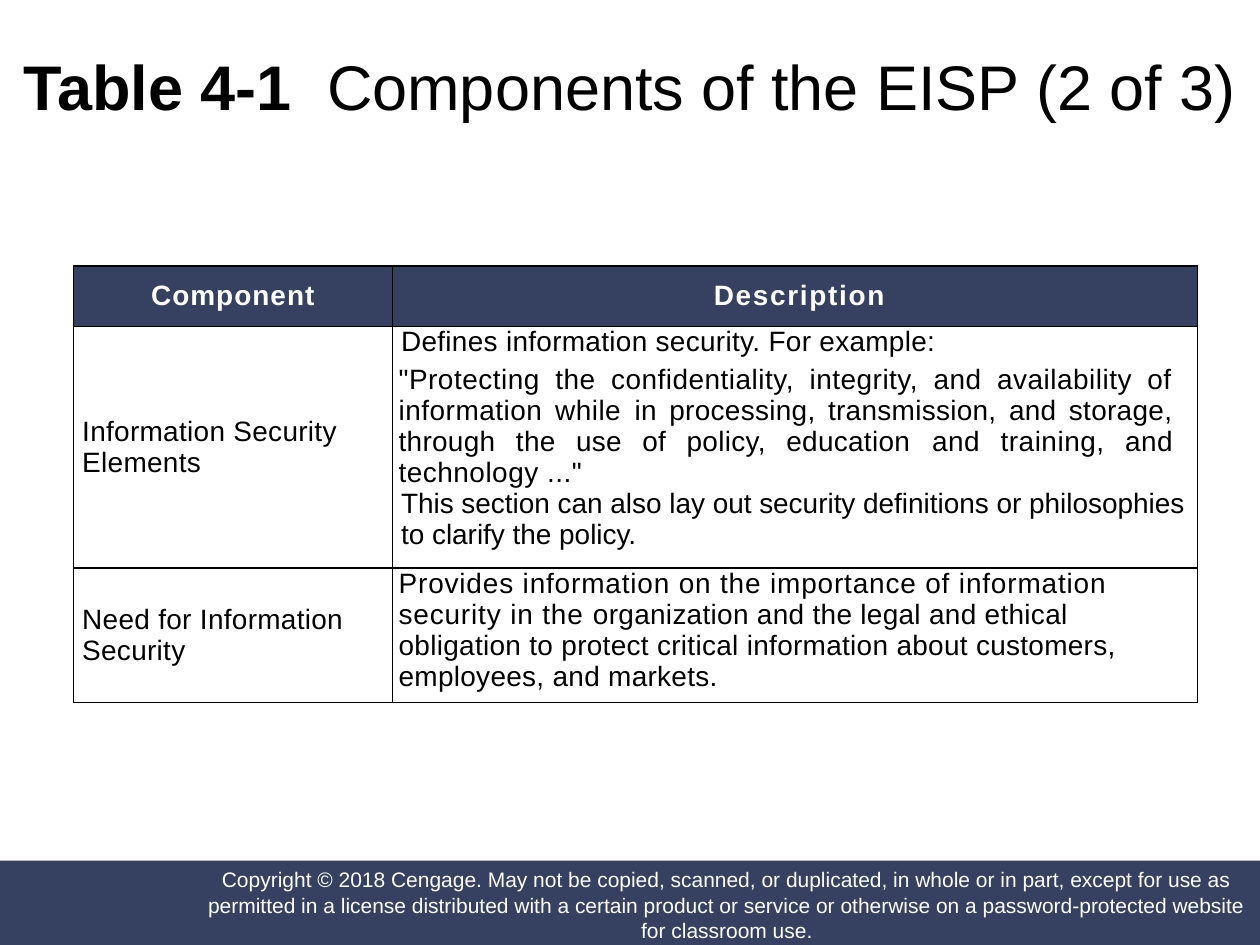
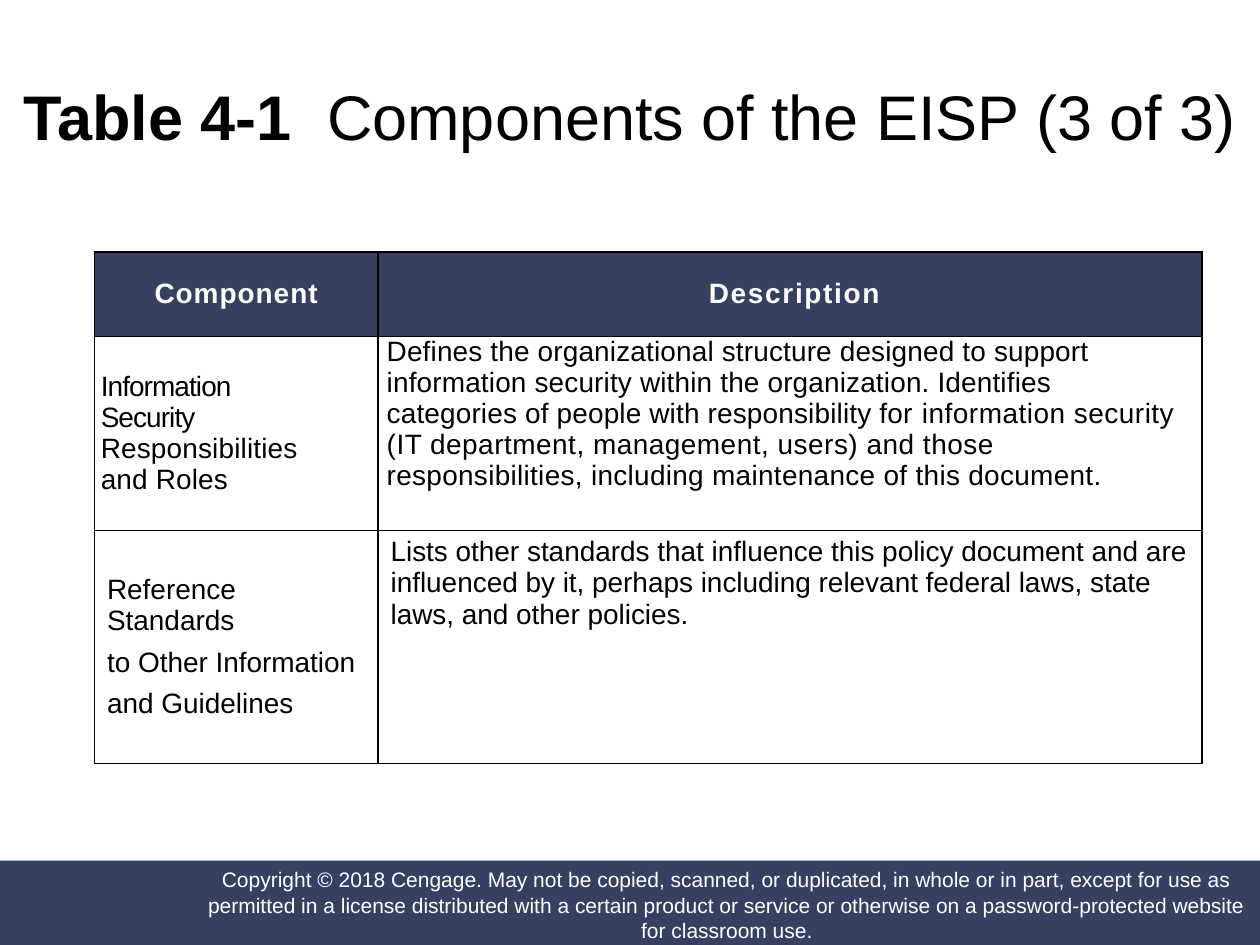
from dataclasses import dataclass
from typing import Any

import lxml.etree
import pptx
import pptx.dml.color
import pptx.enum.shapes
import pptx.enum.text
import pptx.oxml.ns
import pptx.util

Pt = pptx.util.Pt
RGB = pptx.dml.color.RGBColor
ALIGN = pptx.enum.text.PP_ALIGN
ANCHOR = pptx.enum.text.MSO_ANCHOR
qn = pptx.oxml.ns.qn


@dataclass(frozen=True)
class Theme:
    navy: RGB = RGB(0x36, 0x41, 0x62)
    white: RGB = RGB(0xFF, 0xFF, 0xFF)
    black: RGB = RGB(0, 0, 0)
    font: str = "Arial"
    title_size: int = 36
    cell_size: int = 16
    footer_size: int = 12
    border: int = 1


@dataclass(frozen=True)
class Box:
    left: float
    top: float
    width: float
    height: float

    def lengths(self) -> list[int]:
        return [Pt(v) for v in (self.left, self.top, self.width, self.height)]


@dataclass(frozen=True)
class Run:
    text: str
    spacing: float = 0
    bold: bool = False


@dataclass(frozen=True)
class Para:
    runs: tuple[Run, ...]
    left: float = 0
    right: float = 0
    before: float = 0
    align: Any = ALIGN.LEFT


@dataclass(frozen=True)
class Cell:
    paras: tuple[Para, ...]
    anchor: Any = ANCHOR.MIDDLE
    inset_x: float = 0
    inset_y: float = 0
    header: bool = False


@dataclass(frozen=True)
class TableSlide:
    number: int
    title_box: Box
    left: float
    top: float
    cols: tuple[float, ...]
    rows: tuple[float, ...]
    body: tuple[tuple[Cell, Cell], ...]


THEME = Theme()
BAND = Box(0, 491.8, 720, 48.2)
FOOTER = Box(116.6, 493.9, 597.6, 46.1)
COPYRIGHT = (
    "Copyright © 2018 Cengage. May not be copied, scanned, or duplicated, in whole or in part, "
    "except for use as permitted in a license distributed with a certain product or service or "
    "otherwise on a password-protected website for classroom use."
)
BREAK = Run("\n")
HEADER = (
    Cell((Para((Run("Component", 0.6, True),), align=ALIGN.CENTER),), header=True),
    Cell((Para((Run("Description", 1, True),), left=5, align=ALIGN.CENTER),), header=True),
)

SLIDES = (
    TableSlide(
        2, Box(0, 14.4, 720, 69.1), 42, 152, (182.2, 460.1), (34.6, 118.8, 66.2),
        (
            (
                Cell((Para((Run("Information Security Elements", 0.2),), left=5),)),
                Cell((
                    Para((Run("Defines information security. For example:", 0.2),), left=5),
                    Para((
                        Run('"Protecting the confidentiality, integrity, and availability of '
                            'information while ', 0.3),
                        Run("in processing, transmission, and storage, through the use of policy, "
                            "education ", 0.2),
                        Run('and training, and technology ..."', 0.3),
                    ), left=3.6, right=13.5, before=3.6, align=ALIGN.JUSTIFY),
                    Para((Run("This section can also lay out security definitions or philosophies "
                              "to clarify the policy."),), left=5),
                ), anchor=ANCHOR.TOP),
            ),
            (
                Cell((Para((Run("Need for Information Security", 0.2),), left=5),)),
                Cell((Para((
                    Run("Provides information on the importance of information security in the ",
                        0.5),
                    Run("organization and the legal and ethical obligation to protect critical "
                        "information about customers, employees, and markets.", 0.2),
                ), left=3.6, right=13.5),), anchor=ANCHOR.TOP),
            ),
        ),
    ),
    TableSlide(
        3, Box(0, 29.5, 720, 72.7), 54, 144, (162, 470.9), (48.2, 110.9, 133.2),
        (
            (
                Cell((Para((Run("Information Security ", -0.5),
                            Run("Responsibilities and Roles", 0.1)), left=3.6, right=40),)),
                Cell((Para((
                    Run("Defines the organizational structure designed to support information "
                        "security within the organization. Identifies categories of people with "
                        "responsibility for ", 0.1),
                    Run("information security (IT department, management, users) and those ", 0.3),
                    Run("responsibilities, including maintenance of this document.", 0.2),
                ), left=5, right=13.5),), anchor=ANCHOR.TOP),
            ),
            (
                Cell((
                    Para((Run("Reference "), BREAK, Run("Standards"))),
                    Para((Run("to Other Information"),), before=6),
                    Para((Run("and Guidelines"),), before=6),
                ), inset_x=7.2, inset_y=3.6),
                Cell((Para((Run("Lists other standards that influence this policy document and are "
                                "influenced by it, perhaps including relevant federal laws, state "
                                "laws, and other policies."),)),),
                     anchor=ANCHOR.TOP, inset_x=7.2, inset_y=3.6),
            ),
        ),
    ),
)


def apply(obj: Any, values: dict[str, Any]) -> None:
    for name, value in values.items():
        setattr(obj, name, value)


def write(tf: Any, paras: tuple[Para, ...], size: int, color: RGB) -> None:
    for i, para in enumerate(paras):
        p = tf.add_paragraph() if i else tf.paragraphs[0]
        apply(p, {"alignment": para.align, "space_before": Pt(para.before)})
        margins = {"marL": para.left, "marR": para.right, "indent": 0}
        for name, value in margins.items():
            p._p.get_or_add_pPr().set(name, str(int(Pt(value))))
        for run in para.runs:
            if run is BREAK:
                p.add_line_break()
                continue
            r = p.add_run()
            r.text = run.text
            apply(r.font, {"name": THEME.font, "size": Pt(size), "bold": run.bold})
            r.font.color.rgb = color
            if run.spacing:
                r._r.get_or_add_rPr().set("spc", str(round(run.spacing * 100)))


def add_band(s: Any, box: Box) -> Any:
    sp = s.shapes.add_shape(pptx.enum.shapes.MSO_SHAPE.RECTANGLE, *box.lengths())
    sp.shadow.inherit = False
    sp.fill.solid()
    sp.fill.fore_color.rgb = THEME.navy
    sp.line.fill.background()
    return sp


def add_footer(s: Any) -> None:
    add_band(s, BAND)
    tf = add_band(s, FOOTER).text_frame
    margins = dict.fromkeys(("margin_left", "margin_right", "margin_top", "margin_bottom"), 0)
    apply(tf, {"word_wrap": True, "vertical_anchor": ANCHOR.MIDDLE, **margins})
    write(tf, (Para((Run(COPYRIGHT),), align=ALIGN.CENTER),), THEME.footer_size, THEME.white)


def add_title(s: Any, box: Box, number: int) -> None:
    tf = s.shapes.add_textbox(*box.lengths()).text_frame
    apply(tf, {"word_wrap": True, "vertical_anchor": ANCHOR.MIDDLE})
    runs = (Run("Table 4-1", bold=True), Run(" ", 10, True),
            Run(f"Components of the EISP ({number} of 3)"))
    write(tf, (Para(runs, align=ALIGN.CENTER),), THEME.title_size, THEME.black)


def add_borders(tc: Any) -> None:
    tcPr = tc.get_or_add_tcPr()
    for i, side in enumerate(("lnL", "lnR", "lnT", "lnB")):
        ln = lxml.etree.Element(qn(f"a:{side}"), w=str(int(Pt(THEME.border))))
        fill = lxml.etree.SubElement(ln, qn("a:solidFill"))
        lxml.etree.SubElement(fill, qn("a:srgbClr"), val=str(THEME.black))
        tcPr.insert(i, ln)


def fill_cell(target: Any, cell: Cell) -> None:
    apply(target, {
        "vertical_anchor": cell.anchor,
        "margin_left": Pt(cell.inset_x), "margin_right": Pt(cell.inset_x),
        "margin_top": Pt(cell.inset_y), "margin_bottom": Pt(cell.inset_y),
    })
    if cell.header:
        target.fill.solid()
        target.fill.fore_color.rgb = THEME.navy
    else:
        target.fill.background()
    add_borders(target._tc)
    color = THEME.white if cell.header else THEME.black
    write(target.text_frame, cell.paras, THEME.cell_size, color)


def add_component_table(s: Any, data: TableSlide) -> None:
    box = Box(data.left, data.top, sum(data.cols), sum(data.rows))
    table = s.shapes.add_table(len(data.rows), len(data.cols), *box.lengths()).table
    apply(table, {"first_row": False, "horz_banding": False})
    for col, width in zip(table.columns, data.cols):
        col.width = Pt(width)
    for row, height in zip(table.rows, data.rows):
        row.height = Pt(height)
    for row, cells in zip(table.rows, (HEADER, *data.body)):
        for target, cell in zip(row.cells, cells):
            fill_cell(target, cell)


def main() -> None:
    prs = pptx.Presentation()
    apply(prs, {"slide_width": Pt(720), "slide_height": Pt(540)})
    for data in SLIDES:
        s = prs.slides.add_slide(prs.slide_layouts[6])
        add_footer(s)
        add_title(s, data.title_box, data.number)
        add_component_table(s, data)
    prs.save("out.pptx")


if __name__ == "__main__":
    main()
